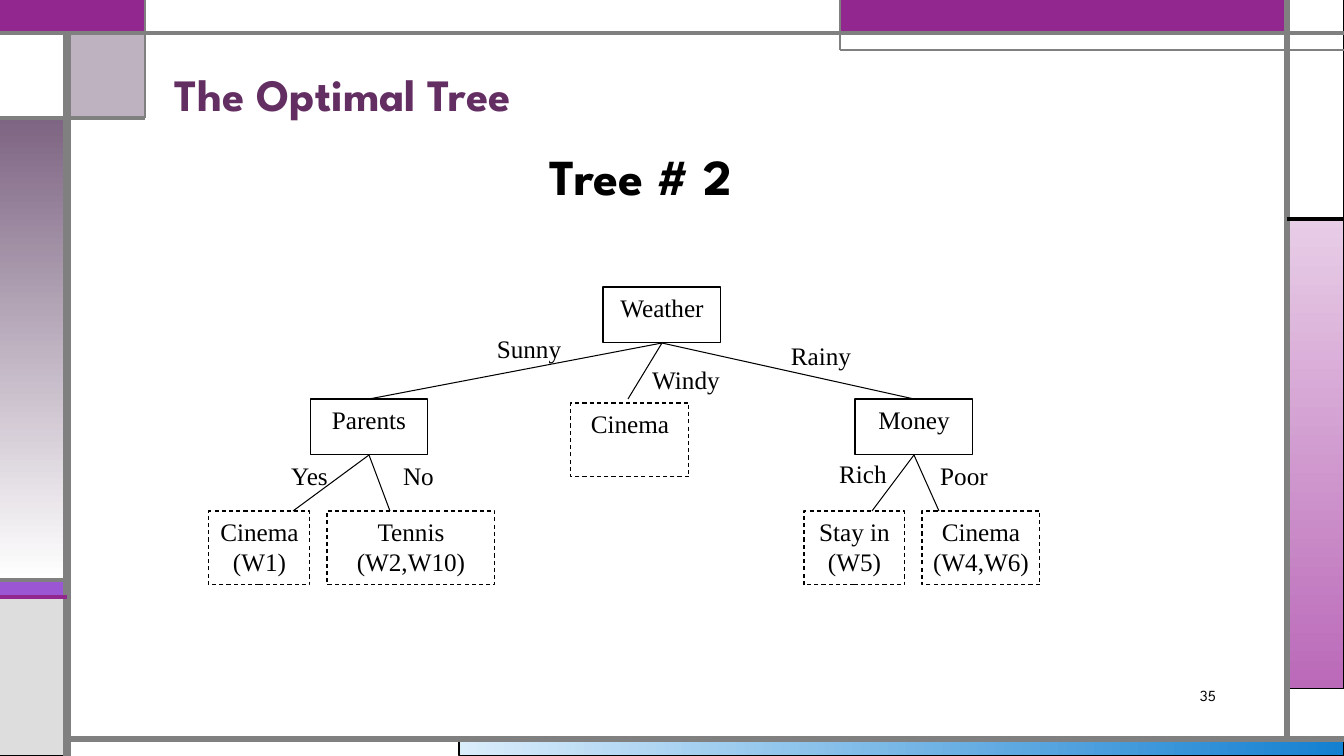
import collections
import dataclasses

import lxml.etree
import pptx
import pptx.dml.color
import pptx.enum.dml
import pptx.enum.shapes
import pptx.enum.text
import pptx.oxml.ns
import pptx.util

SLIDE_WIDTH, SLIDE_HEIGHT = 1344, 756
EMU_PER_PX = 12192000 / SLIDE_WIDTH

Box = collections.namedtuple("Box", "left top width height")
ALIGN = pptx.enum.text.PP_ALIGN
ANCHOR = pptx.enum.text.MSO_ANCHOR


@dataclasses.dataclass(frozen=True)
class Theme:
    heading_font: str = "League Spartan"
    tree_font: str = "Times New Roman"
    title_size: int = 32
    subtitle_size: int = 36
    tree_size: int = 18
    number_size: int = 11
    black: str = "000000"
    white: str = "FFFFFF"
    gray: str = "808080"
    light_gray: str = "DDDDDD"
    title: str = "632E62"
    purple: str = "92278F"
    violet: str = "9B57D3"
    indigo: str = "755DD9"
    mauve: str = "7E6583"
    pink: tuple = ("E8CDE7", "BA69B8")
    blue: tuple = ("DAEDFB", "1480D1")


THEME = Theme()


def px(length):
    return pptx.util.Emu(round(length * EMU_PER_PX))


def rgb(color):
    return pptx.dml.color.RGBColor.from_string(color)


def add_rectangle(slide, box, fill=None, line=THEME.black, weight=0.75, angle=0, alpha=None, dashed=False):
    """Fill is None, one colour, or a pair of gradient colours."""
    shape = slide.shapes.add_shape(pptx.enum.shapes.MSO_SHAPE.RECTANGLE, *map(px, box))
    shape.shadow.inherit = False
    if fill is None:
        shape.fill.background()
    elif isinstance(fill, tuple):
        shape.fill.gradient()
        shape.fill.gradient_angle = angle
        for stop, color in zip(shape.fill.gradient_stops, fill):
            stop.color.rgb = rgb(color)
    else:
        shape.fill.solid()
        shape.fill.fore_color.rgb = rgb(fill)
    if alpha:
        color_element = next(shape.element.spPr.iter(pptx.oxml.ns.qn("a:srgbClr")))
        lxml.etree.SubElement(color_element, pptx.oxml.ns.qn("a:alpha"), val=str(alpha * 1000))
    shape.line.color.rgb = rgb(line)
    shape.line.width = pptx.util.Pt(weight)
    if dashed:
        shape.line.dash_style = pptx.enum.dml.MSO_LINE.DASH
    return shape


def add_line(slide, start, end, color=THEME.black, weight=0.75):
    connector = slide.shapes.add_connector(
        pptx.enum.shapes.MSO_CONNECTOR.STRAIGHT, *map(px, (*start, *end)))
    connector.line.color.rgb = rgb(color)
    connector.line.width = pptx.util.Pt(weight)
    lxml.etree.SubElement(connector.element.spPr, pptx.oxml.ns.qn("a:effectLst"))
    return connector


def write_text(shape, lines, font, size, color=THEME.black, bold=False,
               align=ALIGN.LEFT, anchor=ANCHOR.TOP, side_inset=10, spacing=None):
    frame = shape.text_frame
    frame.word_wrap = True
    frame.vertical_anchor = anchor
    frame.margin_left = frame.margin_right = px(side_inset)
    frame.margin_top = frame.margin_bottom = px(5)
    for index, line in enumerate(lines):
        paragraph = frame.add_paragraph() if index else frame.paragraphs[0]
        paragraph.alignment = align
        if spacing:
            paragraph.line_spacing = spacing
        run = paragraph.add_run()
        run.text = line
        run.font.name = font
        run.font.size = pptx.util.Pt(size)
        run.font.bold = bold
        run.font.color.rgb = rgb(color)


def add_text(slide, box, text, font, size, **style):
    write_text(slide.shapes.add_textbox(*map(px, box)), [text], font, size, **style)


def write_tree_text(shape, lines):
    write_text(shape, lines, THEME.tree_font, THEME.tree_size, align=ALIGN.CENTER, side_inset=0)


def draw_frame(slide, box):
    left, top = box.left, box.top
    right, bottom = left + box.width, top + box.height
    # Grid lines shared by the blocks and the rules
    rail, corner, banner, margin = left + 67, left + 145, left + 840, left + 1287
    band, strip, square = top + 33, top + 50, top + 118
    pink_top, pink_bottom = top + 219, top + 689
    violet_top, gray_top, floor = top + 580, top + 597, top + 739

    # Colour blocks: x1, y1, x2, y2, fill, options
    blocks = [
        (left + 459, floor, right, bottom, THEME.blue, {}),
        (margin, pink_top, right, pink_bottom, THEME.pink, {"angle": 270}),
        (left, violet_top, rail, gray_top, THEME.violet, {}),
        (left, gray_top, rail, bottom, THEME.light_gray, {}),
        (margin, top, right, pink_top, THEME.white, {}),
        (banner, top, margin, band, THEME.purple, {"line": THEME.indigo}),
        (rail, band, corner, square, THEME.mauve, {"alpha": 50}),
        (left, square, rail, violet_top, (THEME.mauve, THEME.white), {"angle": 270}),
        (left, band, rail, square, THEME.white, {}),
        (left, top, corner, band, THEME.purple, {"line": THEME.purple, "weight": 1.5}),
        (corner, top, banner, band, THEME.white, {"line": THEME.gray}),
    ]
    for x1, y1, x2, y2, fill, options in blocks:
        add_rectangle(slide, Box(x1, y1, x2 - x1, y2 - y1), fill, **options)

    # Rules over the blocks
    rules = [
        ((rail, bottom), (rail, band), THEME.gray, 6),
        ((rail, floor), (right, floor), THEME.gray, 4.5),
        ((margin, floor), (margin, top), THEME.gray, 4.5),
        ((left, band), (right, band), THEME.gray, 3),
        ((right, strip), (banner, strip), THEME.gray, 1.5),
        ((banner, strip), (banner, top), THEME.gray, 1.5),
        ((margin, pink_top), (right, pink_top), THEME.black, 2.25),
        ((corner, top), (corner, square), THEME.gray, 1.5),
        ((corner, square), (left, square), THEME.gray, 2.25),
        ((rail, violet_top), (left, violet_top), THEME.gray, 2.25),
        ((rail, gray_top), (left, gray_top), THEME.purple, 2.25),
    ]
    for rule in rules:
        add_line(slide, *rule)


def draw_headings(slide, box):
    add_text(slide, Box(box.left, box.top, box.width, 74), "The Optimal Tree",
             THEME.heading_font, THEME.title_size, color=THEME.title, bold=True,
             anchor=ANCHOR.BOTTOM, spacing=0.9)
    add_text(slide, Box(box.left + 375, box.top + 88, 296, 72), "Tree # 2",
             THEME.heading_font, THEME.subtitle_size, bold=True)


def draw_slide_number(slide, box):
    add_text(slide, box, "35", THEME.heading_font, THEME.number_size,
             align=ALIGN.RIGHT, anchor=ANCHOR.MIDDLE)


def draw_tree(slide, box):
    node_width, node_height, leaf_height, level = 118, 56, 74, 112

    def place(x, y, width, height):
        return Box(box.left + x, box.top + y, width, height)

    # Decision nodes
    decisions = {}
    for name, x, depth in [("Weather", 394, 0), ("Parents", 101, 1), ("Money", 646, 1)]:
        node = add_rectangle(slide, place(x, depth * level, node_width, node_height), THEME.white)
        write_tree_text(node, [name])
        decisions[name] = node

    # Branches: parent, x and depth of the far end, joined child
    branches = [
        ("Weather", 160, 1, "Parents"), ("Weather", 419, 1, None), ("Weather", 705, 1, "Money"),
        ("Parents", 84, 2, None), ("Parents", 181, 2, None),
        ("Money", 663, 2, None), ("Money", 730, 2, None),
    ]
    for parent, x, depth, child in branches:
        end = (box.left + x, box.top + depth * level)
        branch = add_line(slide, end, end)
        branch.begin_connect(decisions[parent], 2)
        if child:
            branch.end_connect(decisions[child], 0)

    # Branch labels: text, centre x, top, width
    labels = [
        ("Sunny", 320, 41, 134), ("Windy", 477, 72, 134), ("Rainy", 612, 48, 134),
        ("Yes", 100, 168, 67), ("No", 209, 168, 67),
        ("Rich", 654, 166, 84), ("Poor", 755, 168, 84),
    ]
    for text, center, y, width in labels:
        label = slide.shapes.add_textbox(*map(px, place(center - width // 2, y, width, 52)))
        write_tree_text(label, [text])

    # Outcome leaves: lines, left, top, width
    leaves = [
        (["Cinema", "(W1)"], 0, 2 * level, 101),
        (["Tennis", "(W2,W10)"], 118, 2 * level, 168),
        (["Cinema"], 362, level + 4, node_width),
        (["Stay in", "(W5)"], 595, 2 * level, 101),
        (["Cinema", "(W4,W6)"], 713, 2 * level, node_width),
    ]
    for lines, x, y, width in leaves:
        leaf = add_rectangle(slide, place(x, y, width, leaf_height), dashed=True)
        write_tree_text(leaf, lines)


def main():
    presentation = pptx.Presentation()
    presentation.slide_width, presentation.slide_height = px(SLIDE_WIDTH), px(SLIDE_HEIGHT)
    slide = presentation.slides.add_slide(presentation.slide_layouts[6])
    draw_frame(slide, Box(0, 0, SLIDE_WIDTH, SLIDE_HEIGHT))
    draw_headings(slide, Box(165, 52, 1058, 160))
    draw_slide_number(slide, Box(1117, 680, 109, 30))
    draw_tree(slide, Box(209, 287, 831, 298))
    presentation.save("out.pptx")


if __name__ == "__main__":
    main()
